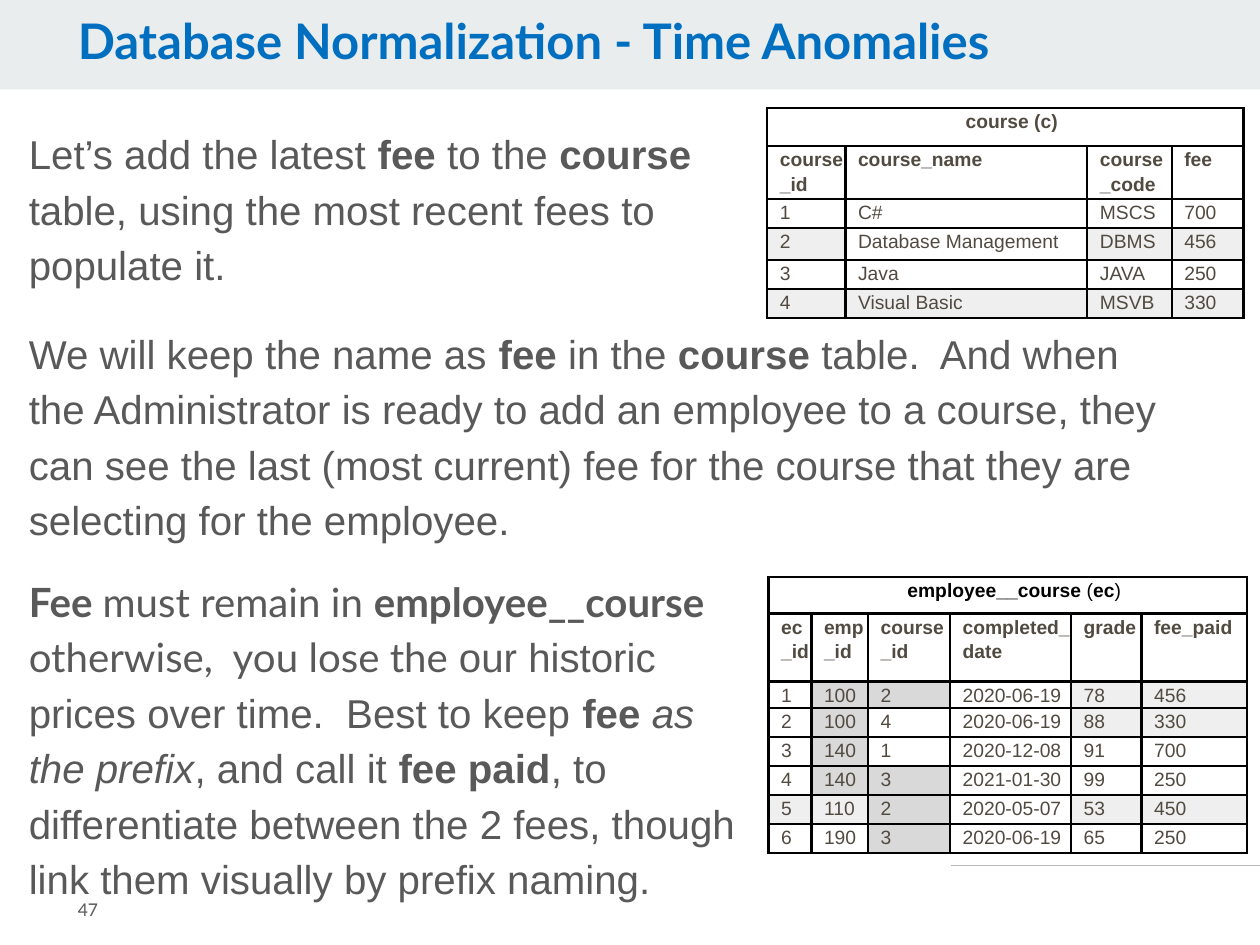
from dataclasses import dataclass
from typing import NamedTuple

from lxml import etree
from pptx import Presentation
from pptx import util as u
from pptx.dml.color import RGBColor
from pptx.enum import shapes, text
from pptx.oxml.ns import qn

BLUE = RGBColor(0x00, 0x6F, 0xBF)
BAND = RGBColor(0xE9, 0xED, 0xEE)
RULE = RGBColor(0xB7, 0xB7, 0xB7)
GRAY = RGBColor(0x59, 0x59, 0x59)
BROWN = RGBColor(0x51, 0x4A, 0x40)
BLACK = RGBColor(0, 0, 0)
FILLS = {"l": RGBColor(0xEF, 0xEF, 0xEF), "d": RGBColor(0xD9, 0xD9, 0xD9)}

# The slide is a grid of 1000 columns by 750 rows
COLS, ROWS = 1000, 750
UNIT = u.Inches(10) // COLS


class Box(NamedTuple):
    col: int
    row: int
    cols: int
    rows: int

    def emu(self) -> list[int]:
        return [n * UNIT for n in self]


class Run(NamedTuple):
    text: str
    bold: bool = False
    italic: bool = False
    font: str = "Arial"


BREAK = Run("\n")


@dataclass
class Grid:
    """A titled table; each row of shades has one letter per cell."""
    box: Box
    title: list[Run]
    title_color: RGBColor
    widths: list[int]
    heights: list[int]
    rows: list[list[str]]
    shades: list[str]


COURSE = Grid(
    Box(609, 86, 378, 163), [Run("course (c)", True)], BROWN,
    [62, 192, 67, 57], [30, 39, 23, 25, 23, 23],
    [["course_id", "course_name", "course_code", "fee"],
     ["1", "C#", "MSCS", "700"],
     ["2", "Database Management", "DBMS", "456"],
     ["3", "Java", "JAVA", "250"],
     ["4", "Visual Basic", "MSVB", "330"]],
    ["....", "....", "l.ll", "....", "llll"])

EMPLOYEE_COURSE = Grid(
    Box(610, 458, 380, 219),
    [Run("employee__course ", True), Run("("), Run("ec", True), Run(")")], BLACK,
    [34, 45, 65, 96, 56, 84], [29, 54, 21, 23, 23, 23, 23, 23],
    [["ec_id", "emp_id", "course_id", "completed_date", "grade", "fee_paid"],
     ["1", "100", "2", "2020-06-19", "78", "456"],
     ["2", "100", "4", "2020-06-19", "88", "330"],
     ["3", "140", "1", "2020-12-08", "91", "700"],
     ["4", "140", "3", "2021-01-30", "99", "250"],
     ["5", "110", "2", "2020-05-07", "53", "450"],
     ["6", "190", "3", "2020-06-19", "65", "250"]],
    ["......", ".dd.ll", ".d..ll", ".d....", ".dd...", "lld.ll", "..d..."])

# Body paragraphs with the space before each, in points
BODY = [
    (0, [Run("Let’s add the latest "), Run("fee", True), Run(" to the "),
         Run("course", True), BREAK,
         Run("table, using the most recent fees to"), BREAK, Run("populate it.")]),
    (19, [Run("We will keep the name as "), Run("fee", True), Run(" in the "),
          Run("course", True),
          Run(" table.  And when the Administrator is ready to add an employee to a "
              "course, they can see the last (most current) fee for the course that "
              "they are selecting for the employee.")]),
    (15, [Run("Fee ", True, font="Lato"), Run("must remain in ", font="Lato"),
          Run("employee__course", True, font="Lato"), BREAK,
          Run("otherwise,  you lose the ", font="Lato"), Run("our historic"), BREAK,
          Run("prices over time.  Best to keep "), Run("fee ", True),
          Run("as", italic=True), BREAK, Run("the prefix", italic=True),
          Run(", and call it "), Run("fee paid", True), Run(", to "), BREAK,
          Run("differentiate between the 2 fees, though"), BREAK,
          Run("link them visually by prefix naming.")]),
]


def write(p, runs: list[Run], size: float, color: RGBColor) -> None:
    for run in runs:
        if run is BREAK:
            p.add_line_break()
            continue
        r = p.add_run()
        r.text = run.text
        f = r.font
        f.name, f.size, f.bold, f.italic = run.font, u.Pt(size), run.bold, run.italic
        f.color.rgb = color


def add_text(s, box: Box):
    tf = s.shapes.add_textbox(*box.emu()).text_frame
    tf.word_wrap = True
    return tf


def border(cell, points: float = 1.5) -> None:
    tc_pr = cell._tc.get_or_add_tcPr()
    for i, side in enumerate(("lnL", "lnR", "lnT", "lnB")):
        ln = etree.Element(qn(f"a:{side}"), w=str(u.Pt(points)))
        fill = etree.SubElement(ln, qn("a:solidFill"))
        etree.SubElement(fill, qn("a:srgbClr"), val=str(BLACK))
        tc_pr.insert(i, ln)


def fill_cell(cell, runs: list[Run], color: RGBColor, shade: str = "."):
    cell.margin_left = u.Inches(0.1)
    cell.margin_right = cell.margin_top = cell.margin_bottom = 0
    if shade in FILLS:
        cell.fill.solid()
        cell.fill.fore_color.rgb = FILLS[shade]
    else:
        cell.fill.background()
    border(cell)
    p = cell.text_frame.paragraphs[0]
    p.line_spacing = 1.15
    write(p, runs, 11, color)
    return p


def add_grid(s, grid: Grid) -> None:
    tbl = s.shapes.add_table(len(grid.heights), len(grid.widths), *grid.box.emu()).table
    tbl.first_row = tbl.horz_banding = False
    for column, width in zip(tbl.columns, grid.widths):
        column.width = width * UNIT
    for row, height in zip(tbl.rows, grid.heights):
        row.height = height * UNIT

    # Title row across all columns
    last = len(grid.widths) - 1
    tbl.cell(0, 0).merge(tbl.cell(0, last))
    p = fill_cell(tbl.cell(0, 0), grid.title, grid.title_color)
    p.alignment = text.PP_ALIGN.CENTER
    for c in range(1, last + 1):
        border(tbl.cell(0, c))

    # Bold column names, then the records
    for i, (values, shades) in enumerate(zip(grid.rows, grid.shades)):
        for c, (value, shade) in enumerate(zip(values, shades)):
            fill_cell(tbl.cell(i + 1, c), [Run(value, i == 0)], BROWN, shade)


def main() -> None:
    prs = Presentation()
    prs.slide_width, prs.slide_height = COLS * UNIT, ROWS * UNIT
    s = prs.slides.add_slide(prs.slide_layouts[6])

    # Footer rule and title band
    rule = s.shapes.add_connector(shapes.MSO_CONNECTOR.STRAIGHT,
                                  755 * UNIT, 687 * UNIT, COLS * UNIT, 687 * UNIT)
    rule.line.color.rgb, rule.line.width = RULE, u.Pt(0.75)
    etree.SubElement(rule._element.spPr, qn("a:effectLst"))
    sp = s.shapes.add_shape(shapes.MSO_SHAPE.RECTANGLE, *Box(0, 0, COLS, 71).emu())
    sp.shadow.inherit = False
    sp.fill.solid()
    sp.fill.fore_color.rgb = BAND
    sp.line.fill.background()

    # Title
    p = add_text(s, Box(52, 9, 788, 55)).paragraphs[0]
    p.line_spacing = 0.9
    write(p, [Run("Database Normalization - Time Anomalies", True, font="Lato")], 28, BLUE)

    # Body
    tf = add_text(s, Box(13, 92, 922, 629))
    for i, (space, runs) in enumerate(BODY):
        p = tf.add_paragraph() if i else tf.paragraphs[0]
        p.line_spacing = u.Pt(31.7)
        p.space_before = u.Pt(space)
        write(p, runs, 23, GRAY)

    # Slide number
    tf = add_text(s, Box(52, 693, 123, 57))
    tf.vertical_anchor = text.MSO_ANCHOR.MIDDLE
    write(tf.paragraphs[0], [Run("47", font="Lato")], 10, GRAY)

    # Tables
    for grid in (COURSE, EMPLOYEE_COURSE):
        add_grid(s, grid)

    prs.save("out.pptx")


if __name__ == "__main__":
    main()
